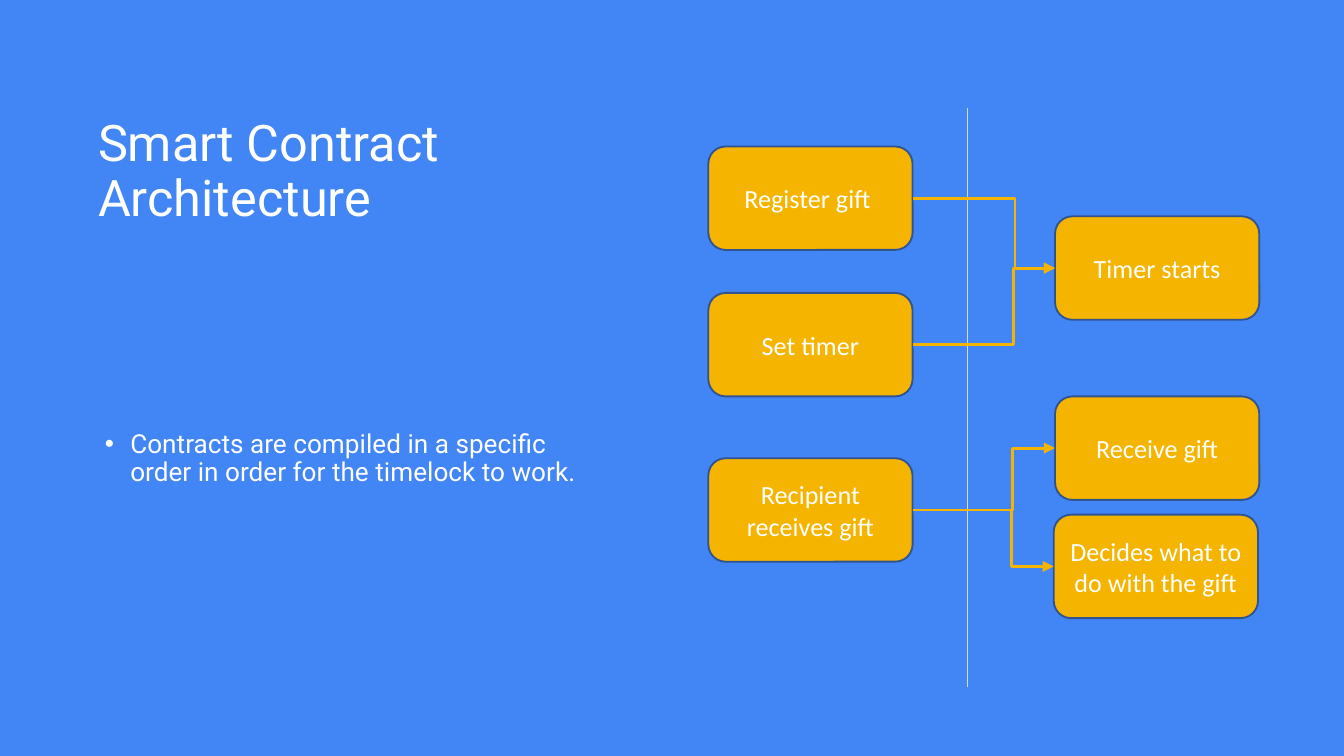
import pptx
import pptx.util
import pptx.dml.color
import pptx.enum.shapes
import pptx.enum.text
import pptx.oxml
import pptx.oxml.ns
import lxml.etree

Inches = pptx.util.Inches
Pt = pptx.util.Pt
Anchor = pptx.enum.text.MSO_ANCHOR
Align = pptx.enum.text.PP_ALIGN
Connector = pptx.enum.shapes.MSO_CONNECTOR


def color(hex_code):
    return pptx.dml.color.RGBColor.from_string(hex_code)


def add_xml(parent, tag, **attributes):
    child = lxml.etree.SubElement(parent, pptx.oxml.ns.qn(tag))
    for name, value in attributes.items():
        child.set(name, str(value))
    return child


def write_text(shape, text, font="Roboto", size=14, ink="FFFFFF",
               anchor=Anchor.MIDDLE, align=Align.LEFT, spacing=0.9, bullet=None):
    frame = shape.text_frame
    frame.word_wrap = True
    frame.vertical_anchor = anchor
    frame.margin_left = frame.margin_right = Inches(0.07)
    frame.margin_top = frame.margin_bottom = Inches(0.04)
    paragraph = frame.paragraphs[0]
    paragraph.alignment = align
    paragraph.line_spacing = spacing
    run = paragraph.add_run()
    run.text = text
    run.font.name = font
    run.font.size = Pt(size)
    run.font.color.rgb = color(ink)
    if bullet:
        properties = paragraph._p.get_or_add_pPr()
        properties.set("marL", str(Inches(0.24)))
        properties.set("indent", str(Inches(-0.19)))
        add_xml(add_xml(properties, "a:buClr"), "a:srgbClr", val=ink)
        add_xml(properties, "a:buFont", typeface="Arial")
        add_xml(properties, "a:buChar", char=bullet)


class ContractSlide:
    background = "4285F4"
    gold = "F4B400"
    outline = "31538F"
    divider_gray = "D8D8D8"
    step_width, step_height = 1.52, 0.77

    def __init__(self, deck):
        self.slide = deck.slides.add_slide(deck.slide_layouts[6])
        fill = self.slide.background.fill
        fill.solid()
        fill.fore_color.rgb = color(self.background)

    def text(self, text, left, top, width, height, **style):
        box = self.slide.shapes.add_textbox(*map(Inches, (left, top, width, height)))
        write_text(box, text, **style)

    def step(self, text, left, top):
        box = self.slide.shapes.add_shape(
            pptx.enum.shapes.MSO_SHAPE.ROUNDED_RECTANGLE,
            *map(Inches, (left, top, self.step_width, self.step_height)))
        box.shadow.inherit = False
        box.fill.solid()
        box.fill.fore_color.rgb = color(self.gold)
        box.line.color.rgb = color(self.outline)
        box.line.width = Pt(1)
        write_text(box, text, font="Calibri", align=Align.CENTER, spacing=1.0)
        return box

    def line(self, kind, start, end, ink, weight):
        connector = self.slide.shapes.add_connector(kind, *start, *end)
        connector.line.color.rgb = color(ink)
        connector.line.width = Pt(weight)
        add_xml(connector._element.spPr, "a:effectLst")
        return connector

    def divider(self, x, top, bottom):
        self.line(Connector.STRAIGHT, (Inches(x), Inches(top)),
                  (Inches(x), Inches(bottom)), self.divider_gray, 0.75)

    def arrow(self, source, target, bend):
        start = source.left + source.width, source.top + source.height // 2
        end = target.left, target.top + target.height // 2
        connector = self.line(Connector.ELBOW, start, end, self.gold, 1.5)
        connector.begin_connect(source, 3)
        connector.end_connect(target, 1)
        add_xml(connector.line._get_or_add_ln(), "a:tailEnd", type="triangle")
        guides = connector._element.spPr.find(".//" + pptx.oxml.ns.qn("a:avLst"))
        add_xml(guides, "a:gd", name="adj1", fmla=f"val {round(bend * 100000)}")


def main():
    deck = pptx.Presentation()
    deck.slide_width = Inches(10)
    deck.slide_height = Inches(10 * 9 / 16)
    page = ContractSlide(deck)
    page.text("Smart Contract Architecture", 0.66, 0.65, 3.94, 1.08,
              size=27, anchor=Anchor.BOTTOM)
    page.text("Contracts are compiled in a specific order in order for the timelock to work.",
              0.66, 1.86, 3.86, 3.11, bullet="•")
    page.divider(7.2, 0.8, 5.11)

    calls_left, effects_left = 5.27, 7.85
    register = page.step("Register gift ", calls_left, 1.09)
    timer_starts = page.step("Timer starts", effects_left, 1.61)
    set_timer = page.step("Set timer", calls_left, 2.18)
    receive = page.step("Receive gift", effects_left, 2.95)
    decide = page.step("Decides what to do with the gift", effects_left - 0.01, 3.83)
    recipient = page.step("Recipient receives gift", calls_left, 3.41)

    for source, target, bend in (
        (register, timer_starts, 0.72),
        (set_timer, timer_starts, 0.71),
        (recipient, receive, 0.7),
        (recipient, decide, 0.7),
    ):
        page.arrow(source, target, bend)
    deck.save("out.pptx")


if __name__ == "__main__":
    main()
